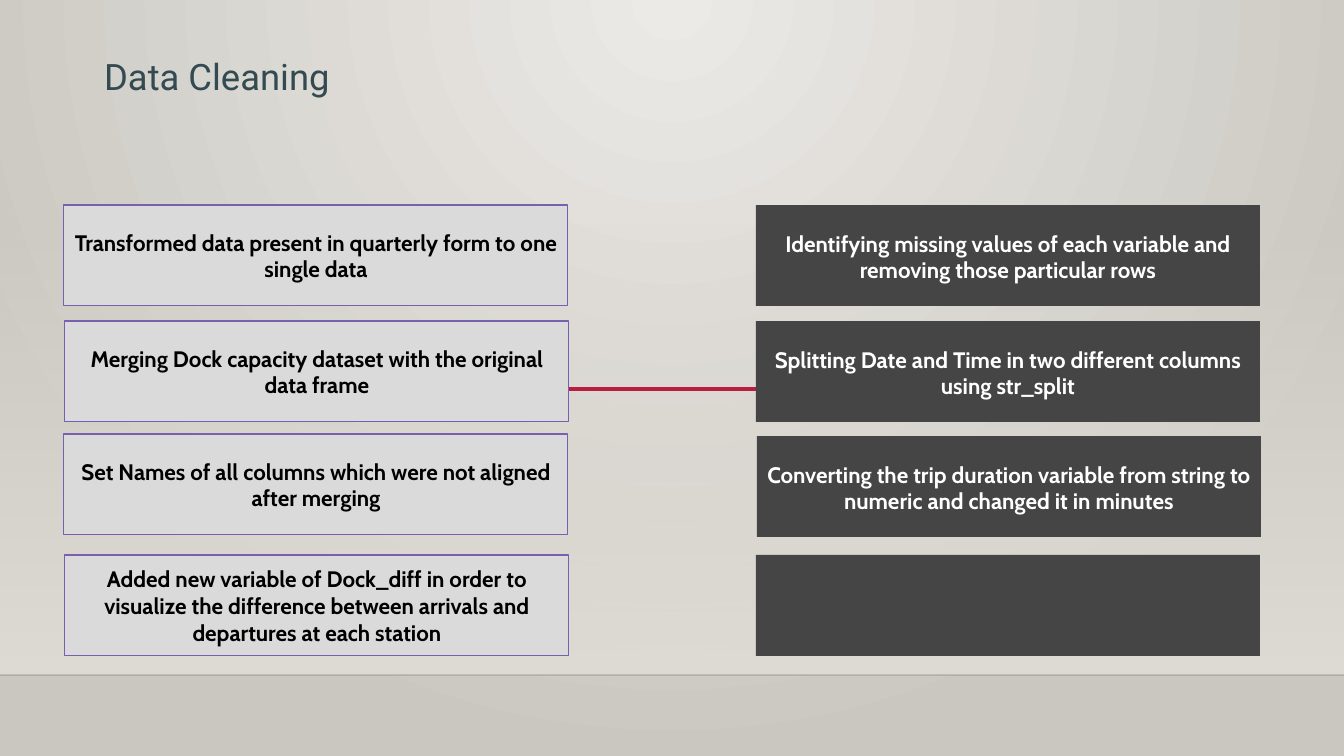
import pptx
import pptx.dml.color
import pptx.enum.shapes
import pptx.enum.text
import pptx.oxml
import pptx.oxml.ns
import pptx.util

PX = 914400 / 100.8
WIDTH, HEIGHT = 1344, 756
FLOOR_Y = 675
BOX_WIDTH, BOX_HEIGHT = 504, 101
DRAWING = pptx.oxml.ns.nsdecls("a")
RECTANGLE = pptx.enum.shapes.MSO_SHAPE.RECTANGLE


def px(*lengths):
    return [pptx.util.Emu(round(length * PX)) for length in lengths]


def rgb(code):
    return pptx.dml.color.RGBColor.from_string(code)


deck = pptx.Presentation()
deck.slide_width, deck.slide_height = px(WIDTH, HEIGHT)
page = deck.slides.add_slide(deck.slide_layouts[5])

# Background: radial gradient centred at the top
backdrop = page.background.fill
backdrop.gradient()
for stop, colour in zip(backdrop.gradient_stops, ["ECEAE7", "CAC7C1"]):
    stop.color.rgb = rgb(colour)
gradient = page.element.xpath(".//p:bg//a:gradFill")[0]
gradient.remove(gradient.xpath("a:lin")[0])
gradient.append(pptx.oxml.parse_xml(
    f'<a:path {DRAWING} path="circle">'
    '<a:fillToRect l="43000" t="0" r="43000" b="100000"/></a:path>'))

# Wall that fades in towards the floor
wall = page.shapes.add_shape(RECTANGLE, *px(0, 223, WIDTH, FLOOR_Y - 223))
wall.shadow.inherit = False
wall.line.fill.background()
wall.fill.gradient()
wall.fill.gradient_angle = 270
for stop in wall.fill.gradient_stops:
    stop.color.rgb = rgb("DFDBD5")
first_colour = wall.element.xpath(".//a:gs/a:srgbClr")[0]
first_colour.append(pptx.oxml.parse_xml(f'<a:alpha {DRAWING} val="0"/>'))

# Floor edge and the line between the columns
for start, end, y, colour, weight, opacity in [
    (0, WIDTH, FLOOR_Y, "000001", 1, 20),
    (266, 1219, 389, "B71E42", 2.5, 100),
]:
    rule = page.shapes.add_connector(
        pptx.enum.shapes.MSO_CONNECTOR.STRAIGHT, *px(start, y, end, y))
    rule.line.color.rgb = rgb(colour)
    rule.line.width = pptx.util.Pt(weight)
    if opacity < 100:
        rule.element.xpath(".//a:ln//a:srgbClr")[0].append(
            pptx.oxml.parse_xml(f'<a:alpha {DRAWING} val="{opacity * 1000}"/>'))
    rule.element.spPr.append(pptx.oxml.parse_xml(f"<a:effectLst {DRAWING}/>"))

# Title
title = page.shapes.title
title.left, title.top, title.width, title.height = px(94, 49, 579, 54)
frame = title.text_frame
frame.text = "Data Cleaning"
frame.word_wrap = True
frame.auto_size = pptx.enum.text.MSO_AUTO_SIZE.SHAPE_TO_FIT_TEXT
frame.vertical_anchor = pptx.enum.text.MSO_ANCHOR.TOP
para = frame.paragraphs[0]
para.alignment = pptx.enum.text.PP_ALIGN.LEFT
title_format = {"name": "Roboto", "size": pptx.util.Pt(26), "bold": False}
for key, value in title_format.items():
    setattr(para.runs[0].font, key, value)
para.runs[0].font.color.rgb = rgb("334A51")

# Cleaning steps in two columns
columns = [
    {"fill": "DADADA", "line": "795FAF", "text": "000000", "inset_top": 5, "steps": [
        (64, 205, "Transformed data present in quarterly form to one single data"),
        (65, 321, "Merging Dock capacity dataset with the original data frame"),
        (64, 434, "Set Names of all columns which were not aligned after merging"),
        (65, 555, "Added new variable of Dock_diff in order to visualize the "
                  "difference between arrivals and departures at each station"),
    ]},
    {"fill": "454545", "line": None, "text": "FFFFFF", "inset_top": 7, "steps": [
        (756, 205, "Identifying missing values of each variable and removing "
                   "those particular rows"),
        (756, 321, "Splitting Date and Time in two different columns using str_split"),
        (757, 436, "Converting the trip duration variable from string to numeric "
                   "and changed it in minutes"),
        (756, 555, ""),
    ]},
]
step_format = {"name": "Cabin", "size": pptx.util.Pt(16), "bold": True}
for column in columns:
    for left, top, step in column["steps"]:
        box = page.shapes.add_shape(RECTANGLE, *px(left, top, BOX_WIDTH, BOX_HEIGHT))
        box.shadow.inherit = False
        box.fill.solid()
        box.fill.fore_color.rgb = rgb(column["fill"])
        if column["line"]:
            box.line.color.rgb = rgb(column["line"])
            box.line.width = pptx.util.Pt(0.75)
        else:
            box.line.fill.background()
        if not step:
            continue
        frame = box.text_frame
        frame.word_wrap = True
        frame.vertical_anchor = pptx.enum.text.MSO_ANCHOR.MIDDLE
        frame.margin_top, frame.margin_bottom = px(column["inset_top"], 5)
        para = frame.paragraphs[0]
        para.alignment = pptx.enum.text.PP_ALIGN.CENTER
        span = para.add_run()
        span.text = step
        for key, value in step_format.items():
            setattr(span.font, key, value)
        span.font.color.rgb = rgb(column["text"])

deck.save("out.pptx")
